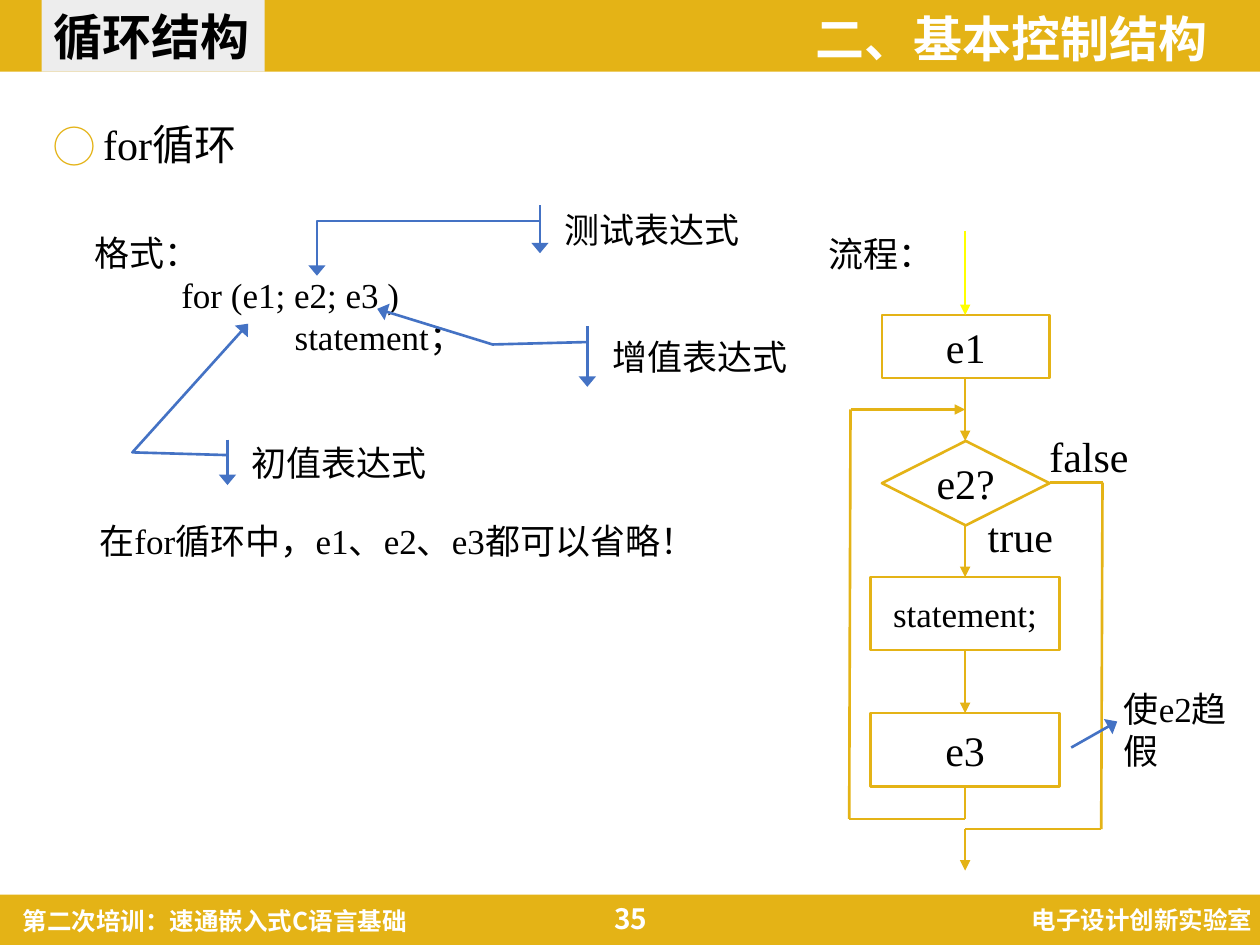
"""Build the slide that explains the for loop with its format and flow chart."""
from lxml import etree
from pptx import Presentation
from pptx import util as u
from pptx.dml.color import RGBColor
from pptx.enum import shapes, text
from pptx.oxml.ns import qn

COLORS = {"gold": "E4B316", "white": "FFFFFF", "black": "000000",
          "gray": "EDEDED", "blue": "4472C4", "yellow": "FFFF00"}
SANS, SERIF = "Noto Sans CJK SC", "Times New Roman"
LEFT, CENTER, RIGHT = text.PP_ALIGN.LEFT, text.PP_ALIGN.CENTER, text.PP_ALIGN.RIGHT
TOP, MIDDLE = text.MSO_ANCHOR.TOP, text.MSO_ANCHOR.MIDDLE
KIND = shapes.MSO_SHAPE
HEADING = {"name": SANS, "bold": True}

deck = Presentation()
deck.slide_width, deck.slide_height = u.Inches(10), u.Inches(7.5)
page = deck.slides.add_slide(deck.slide_layouts[6])


def add_box(place, lines=(), kind=None, fill=None, line=None, size=20, color="black",
            align=LEFT, anchor=TOP, wrap=True, indents=(0,), **font):
    area = [u.Inches(value) for value in place]
    if kind is None:
        box = page.shapes.add_textbox(*area)
    else:
        box = page.shapes.add_shape(kind, *area)
        box.shadow.inherit = False
        box.fill.background()
        box.line.fill.background()
    if fill:
        box.fill.solid()
        box.fill.fore_color.rgb = RGBColor.from_string(COLORS[fill])
    if line:
        box.line.color.rgb = RGBColor.from_string(COLORS[line])
        box.line.width = u.Pt(1.5)
    frame = box.text_frame
    frame.word_wrap, frame.vertical_anchor = wrap, anchor
    looks = {"name": SERIF, "size": u.Pt(size), **font}
    for index, words in enumerate(lines):
        para = frame.add_paragraph() if index else frame.paragraphs[0]
        para.alignment = align
        if indents[index]:
            para._p.get_or_add_pPr().set("marL", str(u.Inches(indents[index])))
        span = para.add_run()
        span.text = words
        for name, value in looks.items():
            setattr(span.font, name, value)
        span.font.color.rgb = RGBColor.from_string(COLORS[color])
        latin = span._r.rPr.find(qn("a:latin"))
        east = etree.Element(qn("a:ea"), typeface=SANS)
        latin.addnext(east)
    return box


def add_route(points, arrow=True, color="gold", width=1.5):
    for start, end in zip(points, points[1:]):
        ends = [u.Inches(value) for value in (*start, *end)]
        link = page.shapes.add_connector(shapes.MSO_CONNECTOR.STRAIGHT, *ends)
        link.line.color.rgb = RGBColor.from_string(COLORS[color])
        link.line.width = u.Pt(width)
        if arrow and end == points[-1]:
            etree.SubElement(link.line._get_or_add_ln(), qn("a:tailEnd"), type="triangle")
        etree.SubElement(link._element.spPr, qn("a:effectLst"))


add_box((0, 7.1, 10, 0.4), kind=KIND.RECTANGLE, fill="gold")
add_box((6.9, 7.13, 3.14, 0.34), ["电子设计创新实验室"], size=14, color="white",
        align=RIGHT, **HEADING)
add_box((-0.02, 0, 10.02, 0.57), kind=KIND.RECTANGLE, fill="gold")
add_box((0.08, 7.14, 3.99, 0.57), ["第二次培训：速通嵌入式C语言基础"], size=14,
        color="white", **HEADING)
add_box((4.39, 7.09, 1.23, 0.4), ["35"], size=16, color="white", align=CENTER,
        anchor=MIDDLE, **HEADING)
title = add_box((4.39, 0.07, 5.29, 0.46), ["二、基本控制结构"], size=28, color="white",
                align=RIGHT, **HEADING)
title.text_frame.paragraphs[0].line_spacing = 0.9
add_box((0.33, 0, 1.77, 0.57), ["循环结构"], kind=KIND.RECTANGLE, fill="gray", size=28,
        anchor=MIDDLE, wrap=False, **HEADING)

topic = add_box((0.33, 0.85, 2.19, 0.57), ["for循环"], size=24, indents=(0.39,))
para = topic.text_frame.paragraphs[0]
props = para._p.get_or_add_pPr()
props.set("indent", str(-u.Inches(0.39)))
bullet_color = etree.SubElement(props, qn("a:buClr"))
etree.SubElement(bullet_color, qn("a:srgbClr"), val=COLORS["gold"])
etree.SubElement(props, qn("a:buFont"), typeface=SANS)
etree.SubElement(props, qn("a:buChar"), char="◯")
para.line_spacing = u.Pt(32)

add_box((6.48, 1.8, 1.04, 0.44), ["流程："], wrap=False)
for label, place, kind, size in (
        ("e1", (7, 2.5, 1.33, 0.5), KIND.FLOWCHART_PROCESS, 24),
        ("e2?", (7, 3.5, 1.33, 0.67), KIND.FLOWCHART_DECISION, 24),
        ("statement;", (6.91, 4.58, 1.5, 0.58), KIND.FLOWCHART_PROCESS, 20),
        ("e3", (6.91, 5.66, 1.5, 0.58), KIND.FLOWCHART_PROCESS, 24)):
    add_box(place, [label], kind=kind, line="gold", size=size, align=CENTER,
            anchor=MIDDLE, wrap=False)
add_box((7.74, 4, 0.72, 0.51), ["true"], size=24, wrap=False)
add_box((8.23, 3.37, 0.85, 0.51), ["false"], size=24, wrap=False)

AXIS = 7.66
add_route([(AXIS, 1.83), (AXIS, 2.5)], color="yellow", width=0.75)
for top, bottom in ((3, 3.5), (4.16, 4.58), (5.16, 5.66)):
    add_route([(AXIS, top), (AXIS, bottom)])
add_route([(AXIS, 6.25), (AXIS, 6.5), (6.74, 6.5), (6.75, 3.25), (AXIS, 3.25)])
add_route([(8.33, 3.83), (8.75, 3.83), (8.74, 6.58), (AXIS, 6.58), (AXIS, 6.91)])

add_box((0.65, 1.79, 3.78, 1.11), ["格式：", "for (e1; e2; e3 )", "statement；"],
        indents=(0, 0.69, 1.59))
add_box((0.69, 4.07, 5.72, 0.44), ["在for循环中，e1、e2、e3都可以省略！"])

ACCENT = KIND.LINE_CALLOUT_2_ACCENT_BAR
for label, place, kind, anchor, arrow, bends in (
        ("使e2趋假", (8.82, 5.41, 1.18, 0.44), KIND.LINE_CALLOUT_1_NO_BORDER, TOP,
         "headEnd", (0.72, 0.04, 1.19, -0.27)),
        ("初值表达式", (1.9, 3.49, 2.36, 0.36), ACCENT, MIDDLE,
         "tailEnd", (0.34, -0.04, 0.28, -0.36, -2.56, 0.03)),
        ("测试表达式", (4.38, 1.63, 2.36, 0.38), ACCENT, MIDDLE,
         "tailEnd", (0.33, -0.04, 0.33, -0.79, 1.47, -0.79)),
        ("增值表达式", (4.76, 2.59, 3.27, 0.48), ACCENT, MIDDLE,
         "tailEnd", (0.26, -0.03, 0.3, -0.26, -0.29, -0.54))):
    callout = add_box(place, [label], kind=kind, line="blue", anchor=anchor)
    for index, bend in enumerate(bends):
        callout.adjustments[index] = bend
    etree.SubElement(callout.line._get_or_add_ln(), qn("a:" + arrow), type="triangle",
                     w="lg", len="med")

deck.save("out.pptx")
